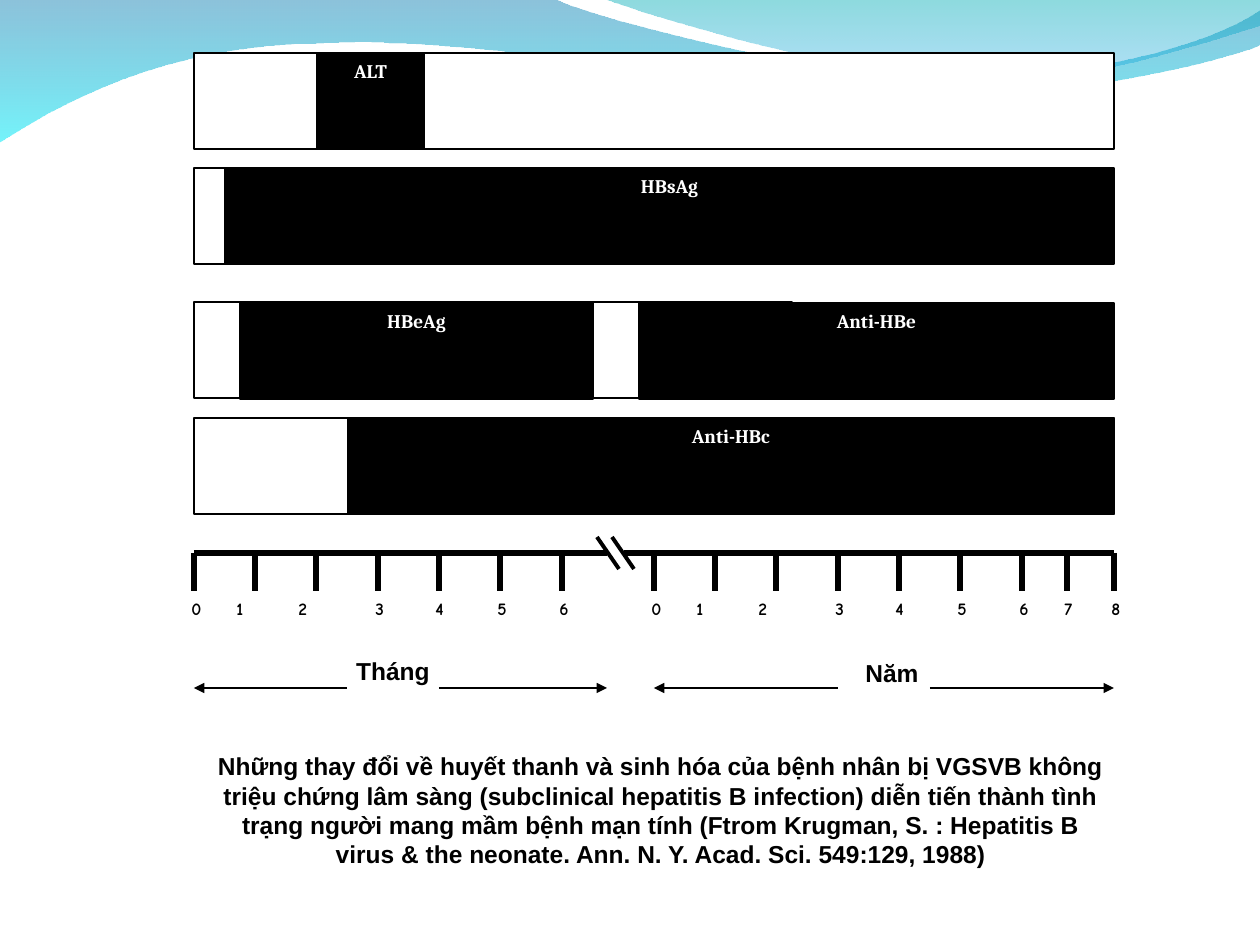
from typing import NamedTuple, Optional

from lxml.etree import SubElement
from pptx import Presentation
from pptx.dml.color import RGBColor
from pptx.enum.shapes import MSO_CONNECTOR as Link, MSO_SHAPE as Kind
from pptx.enum.text import MSO_ANCHOR as Anchor, PP_ALIGN as Align
from pptx.oxml.ns import qn
from pptx.util import Pt

PX = 914400 / 126
BLACK = RGBColor(0x00, 0x00, 0x00)
WHITE = RGBColor(0xFF, 0xFF, 0xFF)
LEFT, RIGHT, WIDE, HIGH = 194, 1114, 920, 96
YEAR = 460  # shift from the month scale to the year scale
AXIS, FOOT, SPAN = 553, 591, 688


class Font(NamedTuple):
    name: str
    size: int
    color: RGBColor
    align: Align = Align.CENTER


class Bar(NamedTuple):
    x: int
    y: int
    w: int
    text: str = ""


class Stop(NamedTuple):
    color: RGBColor
    alpha: int


class Wave(NamedTuple):
    points: list  # 2 numbers: a line to x, y; 6 numbers: a Bezier curve
    stops: tuple


BAR = Font("Cambria", 11, WHITE)
TICK = Font("Comic Neue", 10, BLACK, Align.LEFT)
NOTE = Font("Arial", 14, BLACK)

WAVES = [
    Wave([(0, -1), (554, -1), (600, 21, 837, 79, 955, 79),
          (1075, 79, 1207, 47, 1260, 11), (1261, 45),
          (1239, 55, 1096, 96, 940, 95), (784, 95, 481, 35, 324, 43),
          (163, 44, 58, 105, -1, 142), (0, -1)],
         (Stop(RGBColor(0x00, 0x79, 0xAF), 45), Stop(RGBColor(0x00, 0xEB, 0xF8), 55))),
    Wave([(604, -1), (641, 14, 859, 78, 969, 82),
          (1079, 87, 1211, 40, 1260, 26), (1260, 0), (604, -1)],
         (Stop(RGBColor(0x00, 0xAD, 0xB6), 45), Stop(RGBColor(0x00, 0x9B, 0xE5), 30))),
]
FRAMES = [Bar(LEFT, 53, WIDE), Bar(LEFT, 168, 598),
          Bar(LEFT, 418, WIDE), Bar(LEFT, 302, 598)]
BARS = [Bar(317, 53, 107, "ALT"), Bar(225, 168, 889, "HBsAg"),
        Bar(240, 303, 353, "HBeAg"), Bar(639, 303, 475, "Anti-HBe"),
        Bar(348, 418, 766, "Anti-HBc")]
TICKS = [LEFT + i * 184 // 3 for i in range(7)]
MARKS = [179, 224, 286, 363, 423, 485, 547]
CAPTION = ("Những thay đổi về huyết thanh và sinh hóa của bệnh nhân bị VGSVB "
           "không triệu chứng lâm sàng (subclinical hepatitis B infection) diễn "
           "tiến thành tình trạng người mang mầm bệnh mạn tính (Ftrom Krugman, "
           "S. : Hepatitis B virus & the neonate. Ann. N. Y. Acad. Sci. "
           "549:129, 1988)")


def emu(px: float) -> int:
    return round(px * PX)


def add_wave(shapes, wave: Wave) -> None:
    (x, y), *rest = wave.points
    pairs = [(emu(seg[i]), emu(seg[i + 1]))
             for seg in rest for i in range(0, len(seg), 2)]
    pen = shapes.build_freeform(emu(x), emu(y), scale=1.0)
    pen.add_line_segments(pairs, close=True)
    shape = pen.convert_to_shape()
    # Join each three corners of a curve into one Bezier segment
    steps = iter(list(shape.element.spPr.iter(qn("a:lnTo"))))
    for seg in rest:
        group = [next(steps) for _ in range(len(seg) // 2)]
        if len(group) == 3:
            first = group[0]
            curve = SubElement(first.getparent(), qn("a:cubicBezTo"))
            first.addprevious(curve)
            for step in group:
                curve.append(step[0])
                step.getparent().remove(step)
    shape.shadow.inherit = False
    shape.line.fill.background()
    shape.fill.gradient()
    shape.fill.gradient_angle = 270
    for part, stop in zip(shape.fill.gradient_stops, wave.stops):
        part.color.rgb = stop.color
    for node, stop in zip(shape.element.spPr.iter(qn("a:srgbClr")), wave.stops):
        SubElement(node, qn("a:alpha")).set("val", str(stop.alpha * 1000))


def add_text(shape, text: str, font: Font) -> None:
    frame = shape.text_frame
    frame.word_wrap = True
    frame.vertical_anchor = Anchor.TOP
    para = frame.paragraphs[0]
    para.alignment = font.align
    run = para.add_run()
    run.text = text
    run.font.name = font.name
    run.font.size = Pt(font.size)
    run.font.bold = True
    run.font.color.rgb = font.color


def add_box(shapes, x: int, y: int, w: int, h: int, text: str = "",
            font: Font = NOTE, fill: RGBColor = WHITE,
            line: Optional[RGBColor] = None) -> None:
    shape = shapes.add_shape(Kind.RECTANGLE, emu(x), emu(y), emu(w), emu(h))
    shape.shadow.inherit = False
    shape.fill.solid()
    shape.fill.fore_color.rgb = fill
    if line is None:
        shape.line.fill.background()
    else:
        shape.line.color.rgb = line
        shape.line.width = Pt(0.75)
    if text:
        add_text(shape, text, font)


def add_line(shapes, x1: int, y1: int, x2: int, y2: int,
             width: float = 3, arrow: bool = False) -> None:
    line = shapes.add_connector(Link.STRAIGHT, emu(x1), emu(y1), emu(x2), emu(y2))
    line.line.color.rgb = BLACK
    line.line.width = Pt(width)
    if arrow:
        ln = line._element.spPr.find(qn("a:ln"))
        SubElement(ln, qn("a:tailEnd")).set("type", "triangle")
    SubElement(line._element.spPr, qn("a:effectLst"))


def add_scale(shapes, start: int, end: int, slash: int, shift: int) -> None:
    """One half of the time axis, with its break mark, ticks 0 to 6 and numbers."""
    add_line(shapes, start, AXIS, end, AXIS)
    add_line(shapes, slash, 537, slash + 22, 569, 2.25)
    for tick in TICKS:
        add_line(shapes, tick + shift, AXIS, tick + shift, FOOT)
    for i, left in enumerate(MARKS):
        add_box(shapes, left + shift, FOOT + 1, 45, 58, str(i), TICK)


def main() -> None:
    deck = Presentation()
    deck.slide_width, deck.slide_height = emu(1260), emu(945)
    shapes = deck.slides.add_slide(deck.slide_layouts[6]).shapes

    # Background waves
    for wave in WAVES:
        add_wave(shapes, wave)

    # Marker bars
    chart = shapes.add_group_shape().shapes
    for bar in FRAMES:
        add_box(chart, bar.x, bar.y, bar.w, HIGH, line=BLACK)
    for bar in BARS:
        add_box(chart, bar.x, bar.y, bar.w, HIGH, bar.text, BAR, BLACK, BLACK)

    # Time axis: months, then years up to 8
    add_scale(chart, LEFT, 607, 597, 0)
    add_scale(chart, 624, RIGHT, 612, YEAR)
    for text, left, tick in (("7", 1052, 1067), ("8", 1099, RIGHT)):
        label = chart.add_textbox(emu(left), emu(FOOT + 1), emu(45), emu(58))
        add_text(label, text, TICK)
        add_line(chart, tick, AXIS, tick, FOOT)

    # Units and their spans
    add_box(chart, 332, 650, 122, 77, "Tháng")
    add_box(chart, 846, 652, 92, 77, "Năm")
    for start, end in ((439, 607), (347, LEFT), (930, RIGHT), (838, 654)):
        add_line(chart, start, SPAN, end, SPAN, 0.75, True)

    # Caption
    add_box(chart, 201, 745, WIDE, 159, CAPTION)

    deck.save("out.pptx")


if __name__ == "__main__":
    main()
